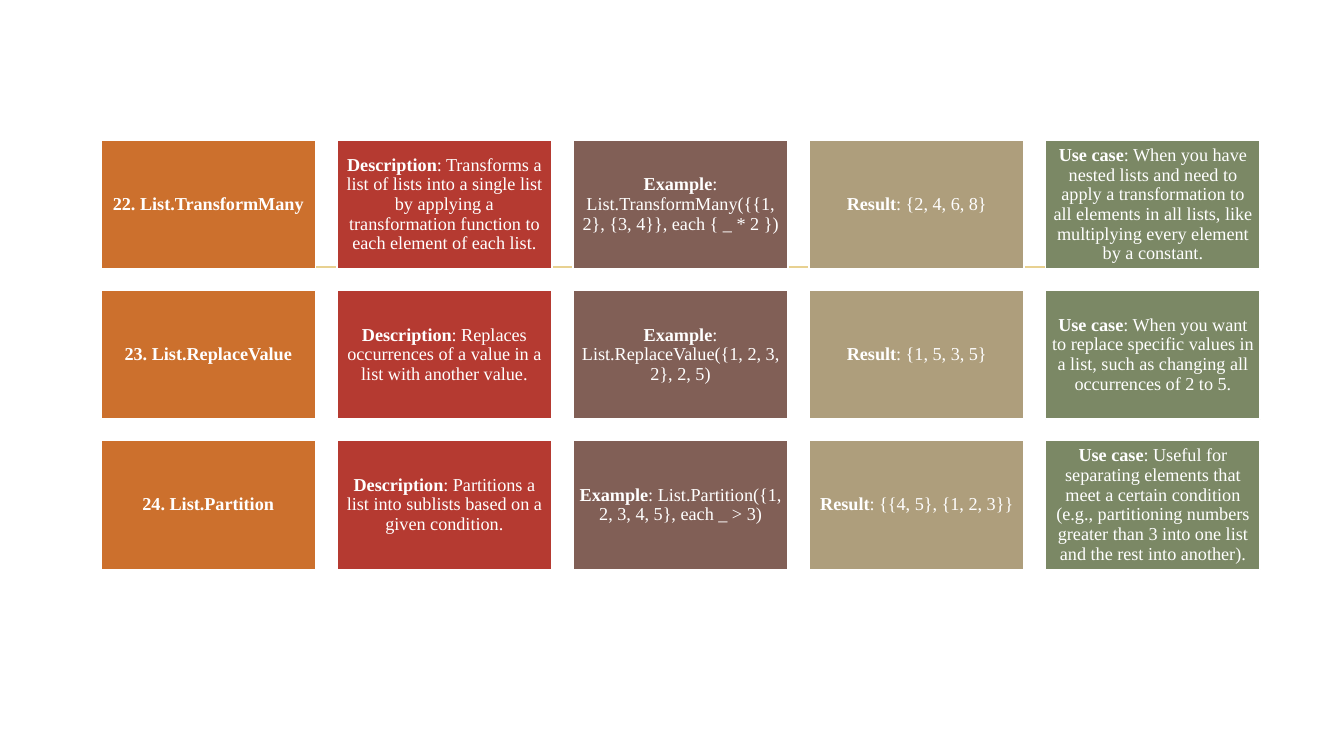
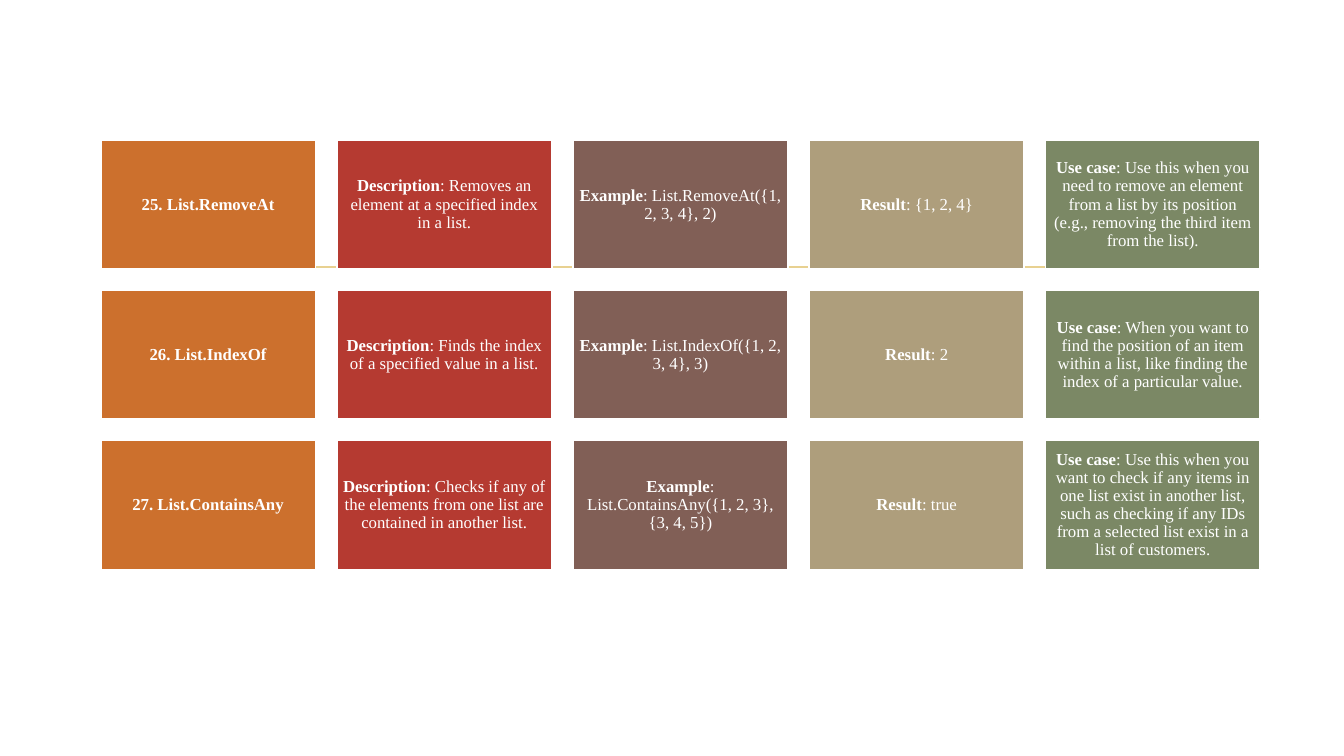
from dataclasses import dataclass
from typing import Any

from lxml.etree import SubElement
from pptx import Presentation
from pptx.dml.color import RGBColor
from pptx.enum.shapes import MSO_CONNECTOR, MSO_SHAPE
from pptx.enum.text import MSO_ANCHOR, PP_ALIGN
from pptx.oxml.ns import qn
from pptx.slide import Slide
from pptx.util import Pt


@dataclass(frozen=True)
class Theme:
    font: str = "Times New Roman"
    white: RGBColor = RGBColor(0xFF, 0xFF, 0xFF)
    rule: RGBColor = RGBColor(0xE8, 0xD1, 0x91)
    columns: tuple[RGBColor, ...] = (
        RGBColor(0xCC, 0x70, 0x2D),
        RGBColor(0xB5, 0x3A, 0x31),
        RGBColor(0x81, 0x5F, 0x56),
        RGBColor(0xAE, 0x9E, 0x7C),
        RGBColor(0x7B, 0x88, 0x65),
    )
    large: float = 13
    small: float = 12
    line: float = 1.25
    inset: float = 3.6


@dataclass(frozen=True)
class Grid:
    left: float = 72
    top: float = 100.1
    width: float = 153.4
    height: float = 92.1
    column_step: float = 168.7
    row_step: float = 107.3


@dataclass(frozen=True)
class Function:
    title: str
    description: str
    example: str
    result: str
    use_case: str

    def cells(self) -> list[tuple[str, str]]:
        return [
            (self.title, ""),
            ("Description", f": {self.description}"),
            ("Example", f": {self.example}"),
            ("Result", f": {self.result}"),
            ("Use case", f": {self.use_case}"),
        ]


@dataclass(frozen=True)
class Page:
    size: float
    functions: tuple[Function, ...]


THEME = Theme()
GRID = Grid()

PAGES = (
    Page(THEME.large, (
        Function(
            "22. List.TransformMany",
            "Transforms a list of lists into a single list by applying a "
            "transformation function to each element of each list.",
            "List.TransformMany({{1, 2}, {3, 4}}, each { _ * 2 })",
            "{2, 4, 6, 8}",
            "When you have nested lists and need to apply a transformation to all "
            "elements in all lists, like multiplying every element by a constant.",
        ),
        Function(
            "23. List.ReplaceValue",
            "Replaces occurrences of a value in a list with another value.",
            "List.ReplaceValue({1, 2, 3, 2}, 2, 5)",
            "{1, 5, 3, 5}",
            "When you want to replace specific values in a list, such as changing "
            "all occurrences of 2 to 5.",
        ),
        Function(
            "24. List.Partition",
            "Partitions a list into sublists based on a given condition.",
            "List.Partition({1, 2, 3, 4, 5}, each _ > 3)",
            "{{4, 5}, {1, 2, 3}}",
            "Useful for separating elements that meet a certain condition (e.g., "
            "partitioning numbers greater than 3 into one list and the rest into "
            "another).",
        ),
    )),
    Page(THEME.small, (
        Function(
            "25. List.RemoveAt",
            "Removes an element at a specified index in a list.",
            "List.RemoveAt({1, 2, 3, 4}, 2)",
            "{1, 2, 4}",
            "Use this when you need to remove an element from a list by its "
            "position (e.g., removing the third item from the list).",
        ),
        Function(
            "26. List.IndexOf",
            "Finds the index of a specified value in a list.",
            "List.IndexOf({1, 2, 3, 4}, 3)",
            "2",
            "When you want to find the position of an item within a list, like "
            "finding the index of a particular value.",
        ),
        Function(
            "27. List.ContainsAny",
            "Checks if any of the elements from one list are contained in another "
            "list.",
            "List.ContainsAny({1, 2, 3}, {3, 4, 5})",
            "true",
            "Use this when you want to check if any items in one list exist in "
            "another list, such as checking if any IDs from a selected list exist "
            "in a list of customers.",
        ),
    )),
)

FRAME_FORMAT = {
    "word_wrap": True,
    "vertical_anchor": MSO_ANCHOR.MIDDLE,
    "margin_left": Pt(THEME.inset),
    "margin_top": Pt(THEME.inset),
    "margin_right": Pt(THEME.inset),
    "margin_bottom": Pt(THEME.inset),
}
PARAGRAPH_FORMAT = {"alignment": PP_ALIGN.CENTER, "line_spacing": 0.9}


def apply_format(target: Any, values: dict[str, Any]) -> None:
    for name, value in values.items():
        setattr(target, name, value)


def add_rule(s: Slide) -> None:
    line = s.shapes.add_connector(
        MSO_CONNECTOR.STRAIGHT, Pt(110.2), Pt(190.8), Pt(850.3), Pt(190.8)
    )
    line.line.color.rgb = THEME.rule
    line.line.width = Pt(THEME.line)
    SubElement(line._element.spPr, qn("a:effectLst"))


def add_cell(
    s: Slide, row: int, column: int, label: str, detail: str, size: float
) -> None:
    sp = s.shapes.add_shape(
        MSO_SHAPE.RECTANGLE,
        Pt(GRID.left + column * GRID.column_step),
        Pt(GRID.top + row * GRID.row_step),
        Pt(GRID.width),
        Pt(GRID.height),
    )
    sp.shadow.inherit = False
    sp.fill.solid()
    sp.fill.fore_color.rgb = THEME.columns[column]
    sp.line.color.rgb = THEME.white
    sp.line.width = Pt(THEME.line)
    tf = sp.text_frame
    apply_format(tf, FRAME_FORMAT)
    p = tf.paragraphs[0]
    apply_format(p, PARAGRAPH_FORMAT)
    for text, bold in ((label, True), (detail, False)):
        if text:
            r = p.add_run()
            r.text = text
            apply_format(
                r.font, {"name": THEME.font, "size": Pt(size), "bold": bold}
            )
            r.font.color.rgb = THEME.white


def main() -> None:
    prs = Presentation()
    prs.slide_width, prs.slide_height = Pt(960), Pt(540)
    for page in PAGES:
        s = prs.slides.add_slide(prs.slide_layouts[6])
        add_rule(s)
        for row, function in enumerate(page.functions):
            for column, (label, detail) in enumerate(function.cells()):
                add_cell(s, row, column, label, detail, page.size)
    prs.save("out.pptx")


if __name__ == "__main__":
    main()
